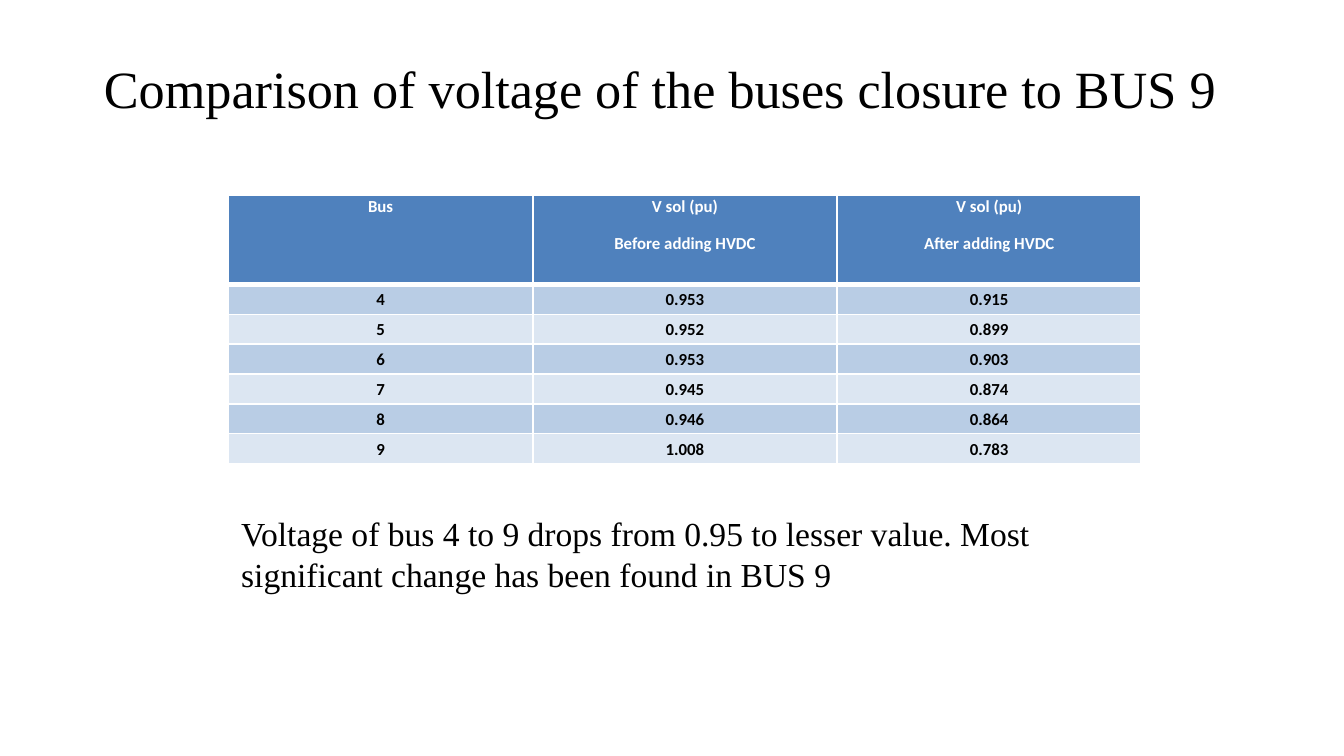
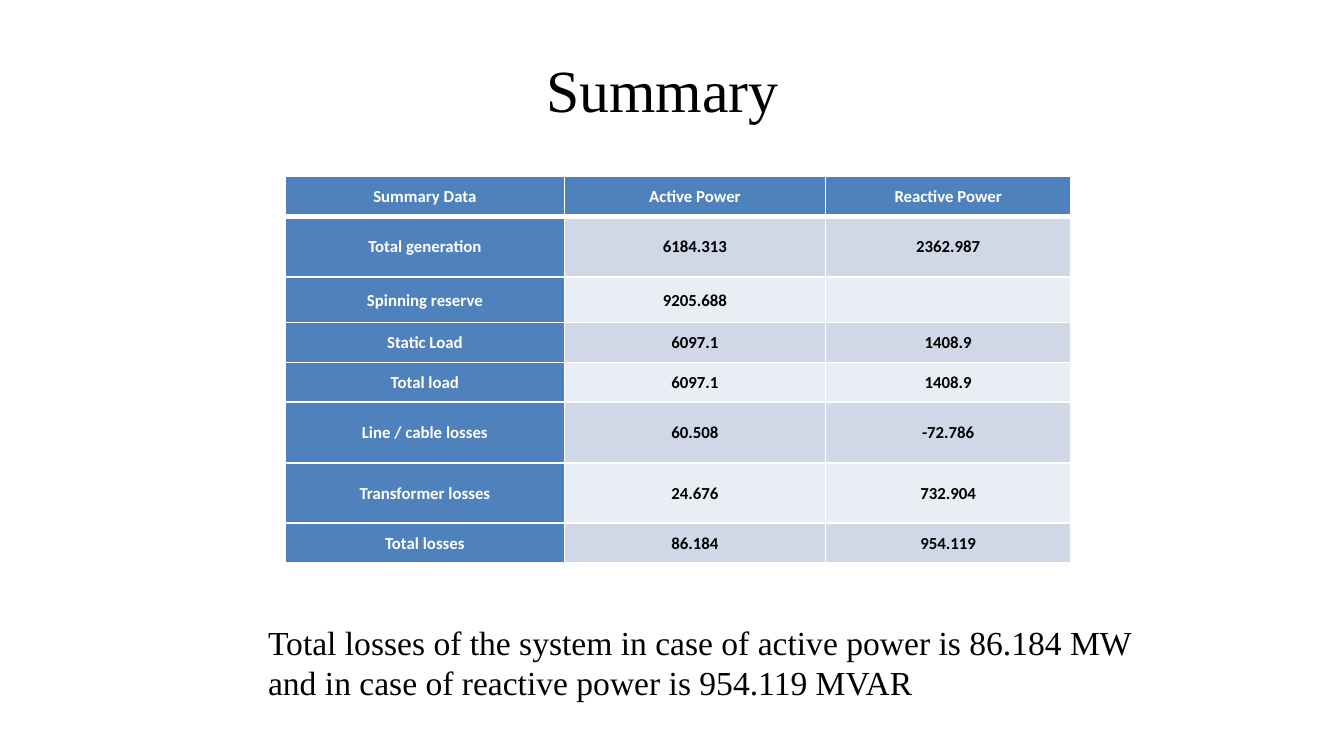
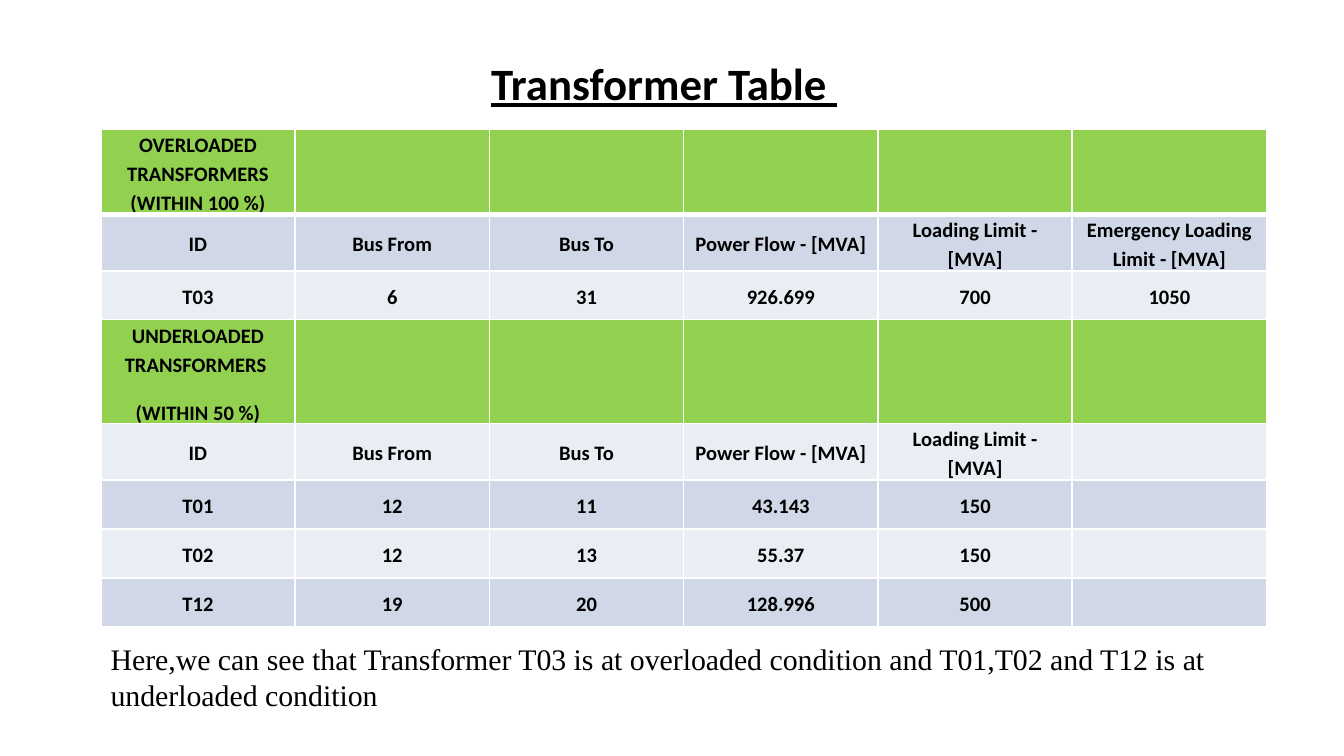
import dataclasses

import lxml.etree
import pptx
import pptx.dml.color
import pptx.enum.text
import pptx.oxml.ns
import pptx.util

Pt = pptx.util.Pt
ALIGN = pptx.enum.text.PP_ALIGN
ANCHOR = pptx.enum.text.MSO_ANCHOR


@dataclasses.dataclass(frozen=True)
class Theme:
    serif: str = "Times New Roman"
    sans: str = "Calibri"
    black: str = "000000"
    white: str = "FFFFFF"
    blue: str = "4F81BD"
    green: str = "92D050"
    strong_bands: tuple = ("B9CDE5", "DCE6F2")
    soft_bands: tuple = ("D0D8E8", "E9EDF4")
    title: int = 28
    title_large: int = 32
    title_small: int = 24
    note: int = 18
    note_small: int = 16
    cell: int = 9
    cell_large: int = 11
    rule: int = 1
    header_rule: int = 3


THEME = Theme()


@dataclasses.dataclass(frozen=True)
class TableStyle:
    header_fill: str
    header_color: str
    bands: tuple
    size: int
    spacing: float
    after: int
    header_rows: tuple = (0,)
    header_column: bool = False
    header_anchor: ANCHOR = ANCHOR.MIDDLE

    def is_header(self, row, column):
        return row in self.header_rows or (self.header_column and column == 0)


def rgb(color):
    return pptx.dml.color.RGBColor.from_string(color)


def add_run(p, text, size, font, color=THEME.black, bold=False, underline=False):
    r = p.add_run()
    r.text = text
    r.font.size = Pt(size)
    r.font.name = font
    r.font.bold = bold
    r.font.underline = underline
    r.font.color.rgb = rgb(color)


def add_text_box(s, box):
    tf = s.shapes.add_textbox(*map(Pt, box)).text_frame
    tf.word_wrap = True
    return tf


def add_title(s, text, box, size=THEME.title, font=THEME.serif, **emphasis):
    tf = add_text_box(s, box)
    tf.vertical_anchor = ANCHOR.MIDDLE
    p = tf.paragraphs[0]
    p.alignment = ALIGN.CENTER
    add_run(p, text, size, font, **emphasis)


def add_note(s, text, box, size=THEME.note):
    tf = add_text_box(s, box)
    tf.margin_left = tf.margin_right = Pt(5.25)
    tf.margin_top = tf.margin_bottom = Pt(2.7)
    tf.auto_size = pptx.enum.text.MSO_AUTO_SIZE.SHAPE_TO_FIT_TEXT
    add_run(tf.paragraphs[0], text, size, THEME.serif)


def set_borders(cell, top, bottom):
    tc_pr = cell._tc.get_or_add_tcPr()
    qn = pptx.oxml.ns.qn
    for side, width in (("L", THEME.rule), ("R", THEME.rule), ("T", top), ("B", bottom)):
        line = lxml.etree.SubElement(tc_pr, qn(f"a:ln{side}"), w=str(Pt(width)))
        fill = lxml.etree.SubElement(line, qn("a:solidFill"))
        lxml.etree.SubElement(fill, qn("a:srgbClr"), val=THEME.white)


def fill_cell(cell, text, style, row, column):
    """Style one cell; each line of its text becomes a paragraph."""
    header = style.is_header(row, column)
    set_borders(cell,
                THEME.header_rule if row == 1 else THEME.rule,
                THEME.header_rule if row == 0 else THEME.rule)
    cell.fill.solid()
    cell.fill.fore_color.rgb = rgb(style.header_fill if header else style.bands[(row - 1) % 2])
    cell.margin_left = cell.margin_right = Pt(4.5)
    cell.margin_top = cell.margin_bottom = 0
    cell.vertical_anchor = style.header_anchor if row == 0 else ANCHOR.MIDDLE
    if not text:
        return
    tf = cell.text_frame
    for i, line in enumerate(text.split("\n")):
        p = tf.add_paragraph() if i else tf.paragraphs[0]
        p.alignment = ALIGN.CENTER
        p.line_spacing = style.spacing
        p.space_after = Pt(style.after)
        add_run(p, line, style.size, THEME.sans,
                style.header_color if header else THEME.black, bold=True)


def add_grid(s, left, top, widths, heights, rows, style):
    frame = s.shapes.add_table(len(heights), len(widths), Pt(left), Pt(top),
                               Pt(sum(widths)), Pt(sum(heights)))
    table = frame.table
    table.horz_banding = False
    for column, width in zip(table.columns, widths):
        column.width = Pt(width)
    for i, (height, texts) in enumerate(zip(heights, rows)):
        table.rows[i].height = Pt(height)
        for j in range(len(widths)):
            fill_cell(table.cell(i, j), texts[j] if j < len(texts) else "", style, i, j)


def build_voltage_slide(s):
    add_title(s, "Comparison of voltage of the buses closure to BUS 9", (30.2, 21, 646.6, 52))
    rows = [
        ("Bus", "V sol (pu)\nBefore adding HVDC", "V sol (pu)\nAfter adding HVDC"),
        ("4", "0.953", "0.915"),
        ("5", "0.952", "0.899"),
        ("6", "0.953", "0.903"),
        ("7", "0.945", "0.874"),
        ("8", "0.946", "0.864"),
        ("9", "1.008", "0.783"),
    ]
    style = TableStyle(THEME.blue, THEME.white, THEME.strong_bands, THEME.cell, 1.07, 8,
                       header_anchor=ANCHOR.TOP)
    add_grid(s, 122.4, 104.4, [163] * 3, [48] + [16] * 6, rows, style)
    add_note(s, "Voltage of bus 4 to 9 drops from 0.95 to lesser value. "
             "Most significant change has been found in BUS 9", (124, 272.2, 489.6, 49))


def build_summary_slide(s):
    add_title(s, "Summary", (59, -4.3, 592, 103.7), THEME.title_large)
    rows = [
        ("Summary Data", "Active Power", "Reactive Power"),
        ("Total generation", "6184.313", "2362.987"),
        ("Spinning reserve", "9205.688"),
        ("Static Load", "6097.1", "1408.9"),
        ("Total load", "6097.1", "1408.9"),
        ("Line / cable losses", "60.508", "-72.786"),
        ("Transformer losses", "24.676", "732.904"),
        ("Total losses", "86.184", "954.119"),
    ]
    style = TableStyle(THEME.blue, THEME.white, THEME.soft_bands, THEME.cell, 1.07, 8,
                       header_column=True)
    low, tall = 21.4, 32.4
    add_grid(s, 152.8, 94.5, [149.6, 139.8, 131.6],
             [low, tall, 24.5, low, low, tall, tall, low], rows, style)
    add_note(s, "Total losses of the system in case of active power is 86.184 MW "
             "and in case of reactive power is 954.119 MVAR", (138.4, 330.5, 476, 49))


def build_transformer_slide(s):
    add_title(s, "Transformer Table ", (45.4, 5, 620.6, 78.5), THEME.title_small, THEME.sans,
              bold=True, underline=True)
    labels = ("ID", "Bus From", "Bus To", "Power Flow - [MVA]", "Loading Limit - [MVA]")
    rows = [
        ("OVERLOADED TRANSFORMERS (WITHIN 100 %)",),
        labels + ("Emergency Loading Limit - [MVA]",),
        ("T03", "6", "31", "926.699", "700", "1050"),
        ("UNDERLOADED TRANSFORMERS \n(WITHIN 50 %)",),
        labels,
        ("T01", "12", "11", "43.143", "150"),
        ("T02", "12", "13", "55.37", "150"),
        ("T12", "19", "20", "128.996", "500"),
    ]
    style = TableStyle(THEME.green, THEME.black, THEME.soft_bands, THEME.cell_large, 1.15, 10,
                       header_rows=(0, 3))
    add_grid(s, 54, 69.2, [104.1] * 6, [44, 29, 26.2, 52.5] + [26.2] * 4, rows, style)
    add_note(s, "Here,we can see that Transformer T03 is at overloaded condition "
             "and T01,T02 and T12 is at underloaded condition",
             (54, 340.6, 625, 44), THEME.note_small)


def main():
    prs = pptx.Presentation()
    prs.slide_width, prs.slide_height = Pt(720), Pt(405)
    for build in (build_voltage_slide, build_summary_slide, build_transformer_slide):
        build(prs.slides.add_slide(prs.slide_layouts[6]))
    prs.save("out.pptx")


if __name__ == "__main__":
    main()
